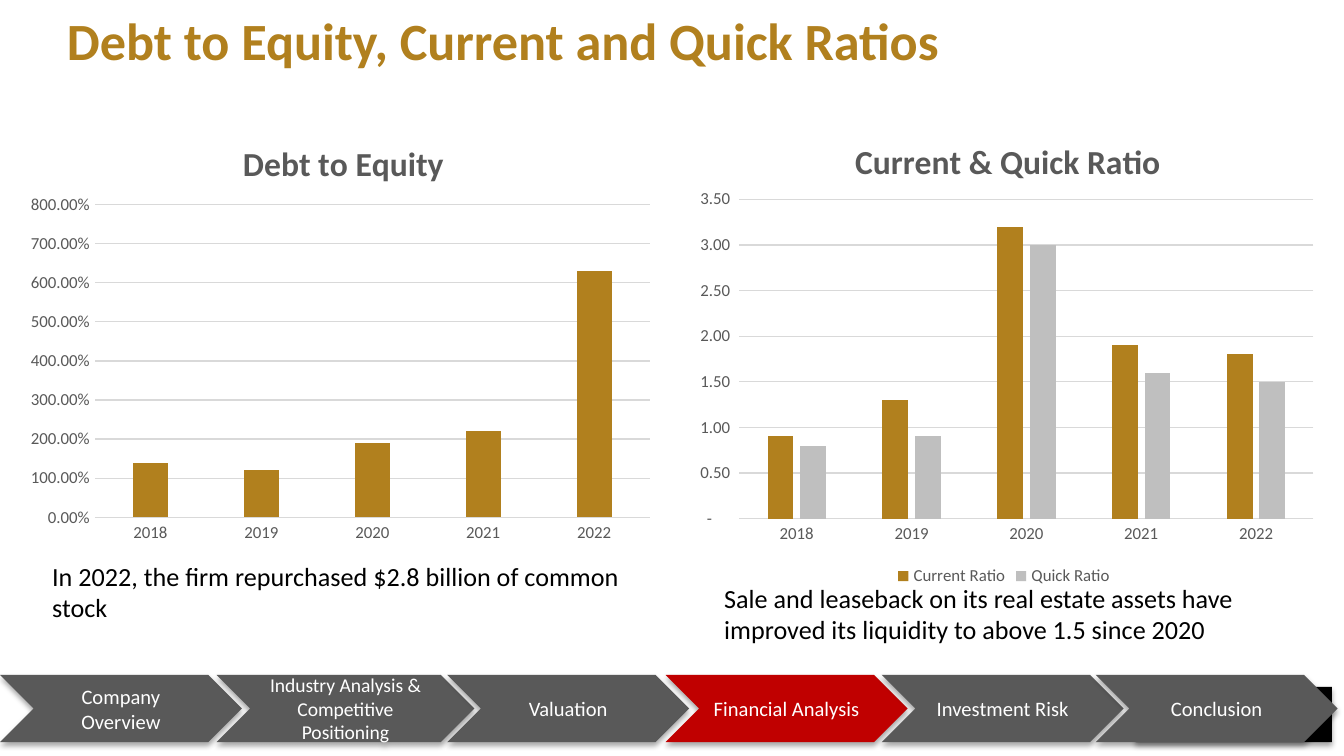
from lxml import etree
from pptx import Presentation
from pptx import util as u
from pptx.chart.data import CategoryChartData
from pptx.dml.color import RGBColor
from pptx.enum import chart as charts, shapes, text
from pptx.oxml import parse_xml
from pptx.oxml.ns import nsdecls, qn

Pt = u.Pt
FONT = "Calibri"
COLORS = {"gold": "B1801E", "silver": "BFBFBF", "gray": "595959", "grid": "D9D9D9",
          "red": "C00000", "black": "000000", "white": "FFFFFF"}
YEARS = ["2018", "2019", "2020", "2021", "2022"]
RATIO_FORMAT = r'_(* #,##0.00_);_(* \(#,##0.00\);_(* "-"??_);_(@_)'

# Section label, left edge and width; the active section is red
SECTIONS = [("Company Overview", 0, 129.6),
            ("Industry Analysis & Competitive Positioning", 116, 138.2),
            ("Valuation", 239.6, 129.6),
            ("Financial Analysis", 356.6, 129.6),
            ("Investment Risk", 472.4, 129.6),
            ("Conclusion", 587, 129.6)]
ACTIVE = "Financial Analysis"


def color(name):
    return RGBColor.from_string(COLORS[name])


def style(font, size, name, bold=False):
    font.name, font.size, font.bold = FONT, Pt(size), bold
    font.color.rgb = color(name)


def add_text(page, area, wording, size, name, bold=False, anchor=text.MSO_ANCHOR.TOP):
    box = page.shapes.add_textbox(*map(Pt, area))
    frame = box.text_frame
    frame.word_wrap = True
    frame.vertical_anchor = anchor
    para = frame.paragraphs[0]
    para.text = wording
    style(para.font, size, name, bold)


def add_block(page, kind, area, fill):
    """Filled shape without outline, with a soft shadow below."""
    block = page.shapes.add_shape(kind, *map(Pt, area))
    block.fill.solid()
    block.fill.fore_color.rgb = color(fill)
    block.line.fill.background()
    block.shadow.inherit = False
    effects = block._element.spPr.find(qn("a:effectLst"))
    effects.append(parse_xml(
        f'<a:outerShdw {nsdecls("a")} blurRad="{Pt(3.1)}" dist="{Pt(1.8)}" dir="5400000" '
        f'rotWithShape="0"><a:srgbClr val="{COLORS["black"]}"><a:alpha val="35000"/>'
        '</a:srgbClr></a:outerShdw>'))
    return block


def add_navigation(page, left, top, height):
    # Page corner behind the last chevron
    add_block(page, shapes.MSO_SHAPE.RECTANGLE,
              (left + 608.4, top + 6.4, 105.2, height - 6.4), "black")
    for label, offset, width in SECTIONS:
        chevron = add_block(page, shapes.MSO_SHAPE.CHEVRON, (left + offset, top, width, height),
                            "red" if label == ACTIVE else "gray")
        frame = chevron.text_frame
        frame.word_wrap = True
        frame.vertical_anchor = text.MSO_ANCHOR.MIDDLE
        para = frame.paragraphs[0]
        para.text = label
        para.alignment = text.PP_ALIGN.CENTER
        style(para.font, 10.5 if width > 130 else 11, "white")


def add_layout(parent, index, **values):
    """Fix the place of a chart part, as fractions of the chart."""
    for old in parent.findall(qn("c:layout")):
        parent.remove(old)
    layout = etree.Element(qn("c:layout"))
    manual = etree.SubElement(layout, qn("c:manualLayout"))
    for tag, value in values.items():
        etree.SubElement(manual, qn(f"c:{tag}"), val=str(value))
    parent.insert(index, layout)


def add_column_chart(page, area, title, title_at, plot_at, series, number_format, top_value):
    data = CategoryChartData()
    data.categories = YEARS
    for name, values, _ in series:
        data.add_series(name, values)
    chart = page.shapes.add_chart(charts.XL_CHART_TYPE.COLUMN_CLUSTERED,
                                  *map(Pt, area), data).chart
    style(chart.font, 10, "black")

    # Title
    chart.has_title = True
    para = chart.chart_title.text_frame.paragraphs[0]
    para.text = title
    style(para.font, 18, "gray", True)
    chart.chart_title.include_in_layout = False
    add_layout(chart.chart_title._element, 1, xMode="edge", yMode="edge",
               x=title_at[0], y=title_at[1])

    # Columns
    plot = chart.plots[0]
    plot.gap_width, plot.overlap, plot.vary_by_categories = 219, -27, False
    for columns, (_, _, fill) in zip(plot.series, series):
        columns.format.fill.solid()
        columns.format.fill.fore_color.rgb = color(fill)
    x, y, w, h = plot_at
    add_layout(chart._chartSpace.chart.plotArea, 0, layoutTarget="inner",
               xMode="edge", yMode="edge", x=x, y=y, w=w, h=h)

    # Axes
    for axis in (chart.category_axis, chart.value_axis):
        axis.major_tick_mark = axis.minor_tick_mark = charts.XL_TICK_MARK.NONE
        style(axis.tick_labels.font, 9, "gray")
    value_axis = chart.value_axis
    value_axis.minimum_scale, value_axis.maximum_scale = 0, top_value
    value_axis.tick_labels.number_format = number_format
    value_axis.tick_labels.number_format_is_linked = False
    value_axis.format.line.fill.background()
    for line in (chart.category_axis.format.line, value_axis.major_gridlines.format.line):
        line.color.rgb = color("grid")
        line.width = Pt(0.75)

    # Legend
    chart.has_legend = len(series) > 1
    if chart.has_legend:
        chart.legend.position = charts.XL_LEGEND_POSITION.BOTTOM
        chart.legend.include_in_layout = False
        style(chart.legend.font, 9, "gray")


def main():
    deck = Presentation()
    deck.slide_width, deck.slide_height = Pt(720), Pt(405)
    page = deck.slides.add_slide(deck.slide_layouts[6])

    add_navigation(page, 0, 361.6, 36)
    add_text(page, (28.8, 0, 648, 42.5), "Debt to Equity, Current and Quick Ratios",
             28, "gold", True, text.MSO_ANCHOR.MIDDLE)

    add_column_chart(page, (9.4, 57.6, 345.6, 236.2), "Debt to Equity",
                     (0.34, 0.06), (0.12, 0.22, 0.86, 0.71),
                     [("Series 1", [1.4, 1.2, 1.9, 2.2, 6.3], "gold")], "0.00%", 8)
    add_column_chart(page, (365, 57.6, 345.6, 259.2), "Current & Quick Ratio",
                     (0.26, 0.05), (0.09, 0.19, 0.89, 0.66),
                     [("Current Ratio", [0.9, 1.3, 3.2, 1.9, 1.8], "gold"),
                      ("Quick Ratio", [0.8, 0.9, 3, 1.6, 1.5], "silver")], RATIO_FORMAT, 3.5)

    # Comments below the charts
    add_text(page, (20.9, 296.6, 321.8, 41),
             "In 2022, the firm repurchased $2.8 billion of common stock", 14, "black")
    add_text(page, (380.9, 308.2, 321.8, 41),
             "Sale and leaseback on its real estate assets have improved its liquidity "
             "to above 1.5 since 2020", 14, "black")
    deck.save("out.pptx")


if __name__ == "__main__":
    main()
